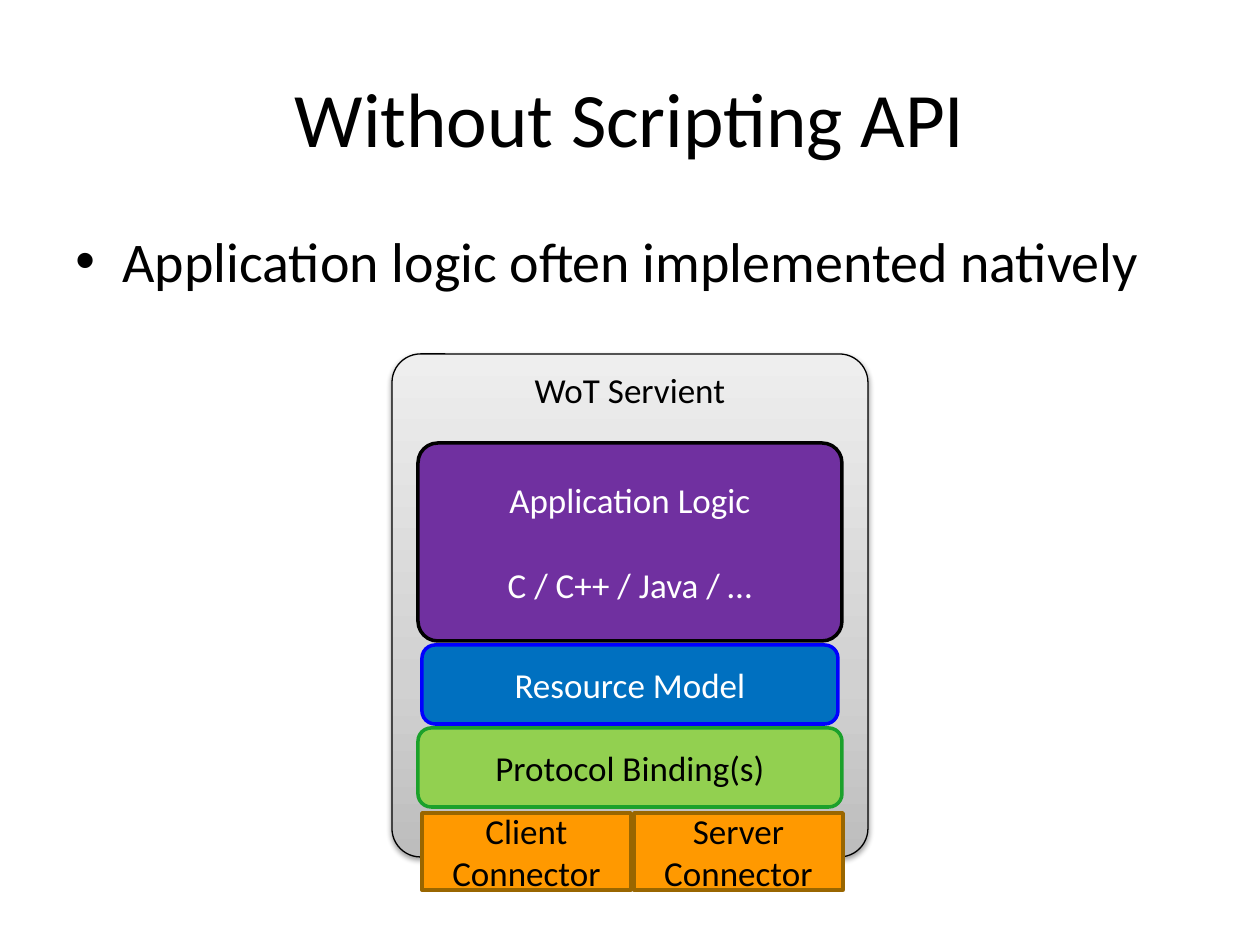
import copy

import pptx
import pptx.dml.color
import pptx.enum.shapes
import pptx.enum.text
import pptx.oxml
import pptx.oxml.ns
import pptx.util

PX = 914400 // 126
FONT = "Calibri"
ALIGN = pptx.enum.text.PP_ALIGN
ANCHOR = pptx.enum.text.MSO_ANCHOR
ROUNDED = pptx.enum.shapes.MSO_SHAPE.ROUNDED_RECTANGLE
NAMESPACE = pptx.oxml.ns.nsdecls("a")


def color(hex_value):
    return pptx.dml.color.RGBColor.from_string(hex_value)


def emu(box):
    return [length * PX for length in box]


def set_text(shape, lines, size, hex_value, align=ALIGN.CENTER,
             anchor=ANCHOR.MIDDLE, wrap=True, gap=0):
    """Write one paragraph per line, with gap points between paragraphs."""
    frame = shape.text_frame
    frame.word_wrap = wrap
    frame.vertical_anchor = anchor
    font_format = {"name": FONT, "size": pptx.util.Pt(size)}
    for index, line in enumerate(lines):
        paragraph = frame.add_paragraph() if index else frame.paragraphs[0]
        paragraph.text = line
        paragraph.alignment = align
        if index:
            paragraph.space_before = pptx.util.Pt(gap)
        for run in paragraph.runs:
            for name, value in font_format.items():
                setattr(run.font, name, value)
            run.font.color.rgb = color(hex_value)


def add_block(group, box, lines, fill, line, text="000000", radius=None,
              width=2, **text_format):
    shape = group.shapes.add_shape(ROUNDED, *emu(box))
    shape.shadow.inherit = False
    if radius is not None:
        shape.adjustments[0] = radius
    shape.fill.solid()
    shape.fill.fore_color.rgb = color(fill)
    shape.line.color.rgb = color(line)
    shape.line.width = pptx.util.Pt(width)
    set_text(shape, lines, 20, text, **text_format)
    return shape


def add_gradient(shape, stops, angle):
    shape.fill.gradient()
    shape.fill.gradient_angle = angle
    stop_list = shape._element.spPr.find(".//" + pptx.oxml.ns.qn("a:gsLst"))
    while len(stop_list) < len(stops):
        stop_list.append(copy.deepcopy(stop_list[0]))
    for stop, (position, hex_value) in zip(shape.fill.gradient_stops, stops):
        stop.position = position
        stop.color.rgb = color(hex_value)


def add_shadow(shape):
    effects = shape._element.spPr.find(pptx.oxml.ns.qn("a:effectLst"))
    effects.append(pptx.oxml.parse_xml(
        f'<a:outerShdw {NAMESPACE} blurRad="39370" dist="20320" dir="5400000" '
        'rotWithShape="0"><a:srgbClr val="000000"><a:alpha val="38000"/>'
        '</a:srgbClr></a:outerShdw>'))


def add_title(slide, box, text):
    title = slide.shapes.add_textbox(*emu(box))
    set_text(title, [text], 44, "000000")


def add_bullets(slide, box, lines):
    body = slide.shapes.add_textbox(*emu(box))
    set_text(body, lines, 32, "000000", align=ALIGN.LEFT, anchor=ANCHOR.TOP, gap=6)
    for paragraph in body.text_frame.paragraphs:
        properties = paragraph._p.get_or_add_pPr()
        properties.set("marL", "342900")
        properties.set("indent", "-342900")
        for bullet in ('buFont {} typeface="Arial"', 'buChar {} char="•"'):
            properties.append(pptx.oxml.parse_xml(f"<a:{bullet.format(NAMESPACE)}/>"))


def add_servient(slide, box):
    """Draw the servient container and its stack of layers."""
    left, top, width, height = box
    group = slide.shapes.add_group_shape()

    # Container
    container = add_block(group, box, ["WoT Servient"], "D1D1D1", "000000",
                          radius=0.06, width=0.75, anchor=ANCHOR.TOP, wrap=False)
    add_gradient(container, [(0, "BDBDBD"), (0.35, "D1D1D1"), (1, "EEEEEE")], 90)
    add_shadow(container)

    # Layers: side margin, offset from top, height, lines, format
    layers = [
        (26, 89, 198, ["Application Logic", "C / C++ / Java / …"],
         {"fill": "7030A0", "line": "000000", "text": "FFFFFF",
          "radius": 0.1, "gap": 24}),
        (30, 291, 79, ["Resource Model"],
         {"fill": "0070C0", "line": "0000FF", "text": "FFFFFF"}),
        (26, 374, 79, ["Protocol Binding(s)"],
         {"fill": "92D050", "line": "1BA12B"}),
    ]
    for margin, offset, layer_height, lines, block_format in layers:
        add_block(group, (left + margin, top + offset, width - 2 * margin, layer_height),
                  lines, **block_format)

    # Connectors overlapping the lower edge
    connector_width, pitch = 209, 212
    for index, role in enumerate(["Client", "Server"]):
        add_block(group, (left + 30 + index * pitch, top + height - 44,
                          connector_width, 77),
                  [f"{role}\vConnector"], "FF9900", "996600", radius=0)


def main():
    presentation = pptx.Presentation()
    presentation.slide_width, presentation.slide_height = emu((1260, 945))
    slide = presentation.slides.add_slide(presentation.slide_layouts[6])
    add_title(slide, (63, 38, 1134, 157), "Without Scripting API")
    add_bullets(slide, (63, 220, 1134, 624),
                ["Application logic often implemented natively"])
    add_servient(slide, (392, 354, 476, 503))
    presentation.save("out.pptx")


if __name__ == "__main__":
    main()
